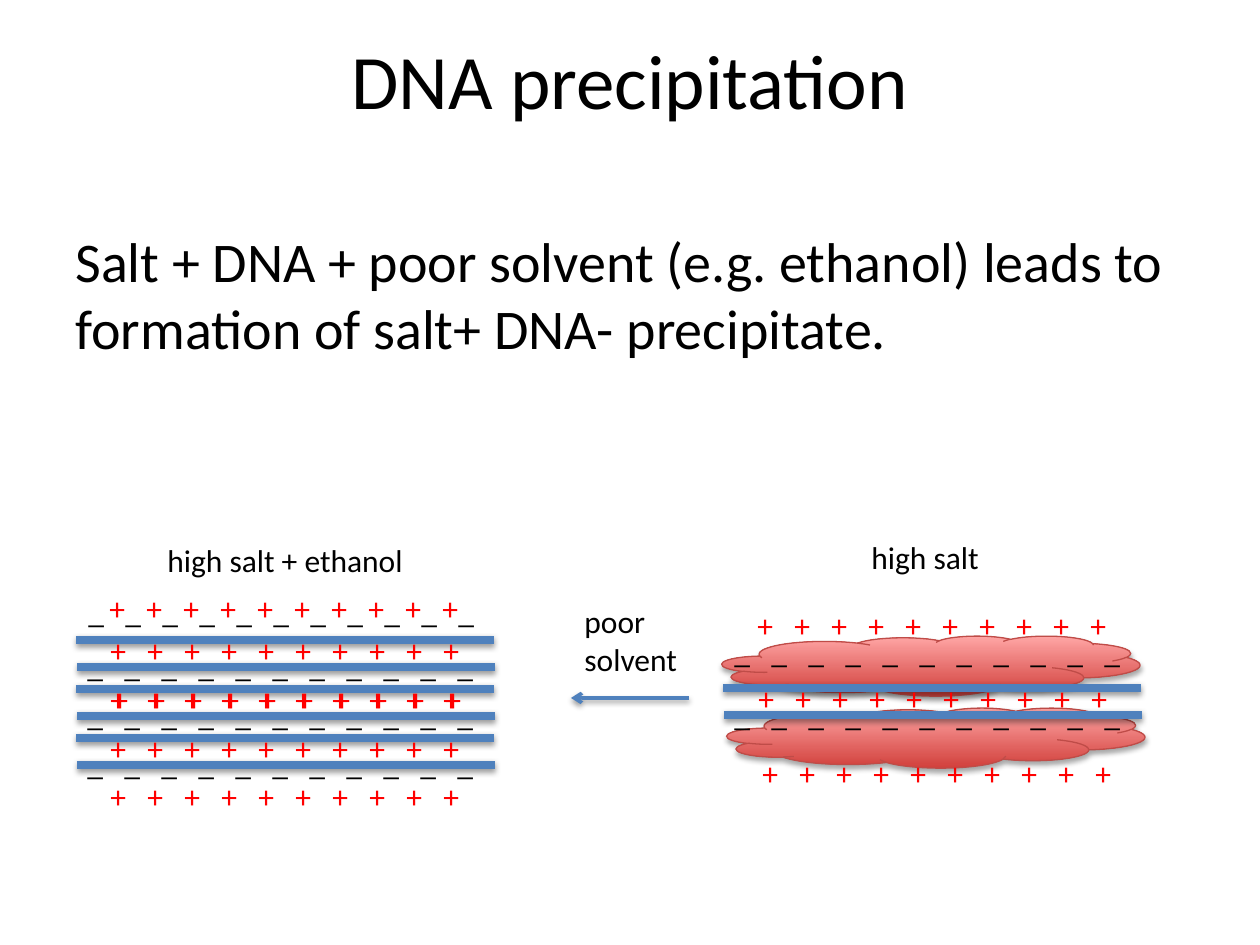
from typing import NamedTuple

from lxml.etree import SubElement
from pptx import Presentation
from pptx.dml.color import RGBColor
from pptx.enum.shapes import MSO_CONNECTOR, MSO_SHAPE
from pptx.enum.text import MSO_ANCHOR, PP_ALIGN
from pptx.oxml.ns import qn
from pptx.util import Emu, Pt

BLACK = RGBColor(0x00, 0x00, 0x00)
RED = RGBColor(0xFF, 0x00, 0x00)
BLUE = RGBColor(0x4F, 0x81, 0xBD)
CLOUD_DARK = RGBColor(0xD1, 0x40, 0x3C)
CLOUD_LIGHT = RGBColor(0xFF, 0xA6, 0xA5)
CLOUD_EDGE = RGBColor(0xBF, 0x4C, 0x48)

FONT = "Calibri"
PX_PER_INCH = 126
STRAND_LENGTH = 418
CLOUD_HEIGHT = 60
CHARGE_PITCH = 37
STRAND_GAP = 27
PAIR_PITCH = 49


class Point(NamedTuple):
    x: int
    y: int


class Charge(NamedTuple):
    symbol: str
    count: int
    width: int
    color: RGBColor


class Label(NamedTuple):
    lines: list[str]
    left: int
    top: int
    width: int
    height: int
    size: int = 18


PLUS = Charge("+", 10, 379, RED)
MINUS = Charge("_", 11, 423, BLACK)

LABELS = [
    Label(["Salt + DNA + poor solvent (e.g. ethanol) leads to formation of "
           "salt+ DNA- precipitate."], 63, 220, 1134, 624, 32),
    Label(["high salt"], 859, 532, 134, 50),
    Label(["high salt + ethanol"], 155, 535, 263, 50),
    Label(["poor", "solvent"], 572, 596, 120, 89),
]
CLOUDS = [Point(722, 636), Point(727, 708)]
STRAND_PAIRS = [Point(76, 640 + PAIR_PITCH * pair) for pair in range(3)] + [Point(723, 688)]
CHARGE_ROWS = {
    MINUS: [Point(76, 586), *(Point(75, 640 + PAIR_PITCH * row) for row in range(3)),
            Point(722, 689), Point(722, 626)],
    PLUS: [Point(97, 583), Point(98, 625), Point(98, 674), Point(100, 674),
           Point(98, 723), Point(98, 771),
           Point(745, 600), Point(746, 673), Point(750, 748)],
}


def px(length: int) -> Emu:
    return Emu(round(length * 914400 / PX_PER_INCH))


def write(para, text: str, *, size: int = 18, color: RGBColor = BLACK,
          align=PP_ALIGN.LEFT) -> None:
    para.alignment = align
    span = para.add_run()
    span.text = text
    span.font.name = FONT
    span.font.size = Pt(size)
    span.font.color.rgb = color


def add_box(page, left: int, top: int, width: int, height: int):
    box = page.shapes.add_textbox(px(left), px(top), px(width), px(height))
    box.text_frame.word_wrap = True
    return box.text_frame


def add_label(page, label: Label) -> None:
    frame = add_box(page, label.left, label.top, label.width, label.height)
    frame.word_wrap = label.size > 18
    for index, line in enumerate(label.lines):
        para = frame.add_paragraph() if index else frame.paragraphs[0]
        write(para, line, size=label.size)


def add_charge_row(page, charge: Charge, start: Point) -> None:
    """Spread the charge symbols over evenly pitched tab stops."""
    para = add_box(page, start.x, start.y, charge.width, 50).paragraphs[0]
    stops = SubElement(para._p.get_or_add_pPr(), qn("a:tabLst"))
    for index in range(1, charge.count):
        SubElement(stops, qn("a:tab"), pos=str(px(CHARGE_PITCH * index)), algn="l")
    write(para, "\t".join([charge.symbol] * charge.count), color=charge.color)


def add_shadow(shape, distance: int, opacity: int) -> None:
    """Drop a soft black shadow straight down; opacity is in percent."""
    effects = SubElement(shape._element.spPr, qn("a:effectLst"))
    shadow = SubElement(effects, qn("a:outerShdw"), blurRad="40000",
                        dist=str(distance), dir="5400000", rotWithShape="0")
    color = SubElement(shadow, qn("a:srgbClr"), val=str(BLACK))
    SubElement(color, qn("a:alpha"), val=str(opacity * 1000))


def add_line(page, start: Point, end: Point, width: int, *, arrow: bool = False) -> None:
    line = page.shapes.add_connector(
        MSO_CONNECTOR.STRAIGHT, px(start.x), px(start.y), px(end.x), px(end.y))
    line.line.color.rgb = BLUE
    line.line.width = Pt(width)
    if arrow:
        SubElement(line.line._get_or_add_ln(), qn("a:tailEnd"), type="arrow")
    add_shadow(line, 20000, 38)


def add_strand_pair(page, start: Point) -> None:
    for step in range(2):
        left, y = start.x + step, start.y + STRAND_GAP * step
        add_line(page, Point(left, y), Point(left + STRAND_LENGTH, y), 5)


def add_cloud(page, corner: Point) -> None:
    cloud = page.shapes.add_shape(MSO_SHAPE.CLOUD, px(corner.x), px(corner.y),
                                  px(STRAND_LENGTH), px(CLOUD_HEIGHT))
    cloud.fill.gradient()
    cloud.fill.gradient_angle = 90
    for stop, position, color in zip(cloud.fill.gradient_stops, (0, 1),
                                     (CLOUD_DARK, CLOUD_LIGHT)):
        stop.position = position
        stop.color.rgb = color
    cloud.line.color.rgb = CLOUD_EDGE
    cloud.line.width = Pt(0.75)
    add_shadow(cloud, 23000, 35)


def set_title(page, text: str) -> None:
    title = page.shapes.title
    title.left, title.top, title.width, title.height = px(63), px(0), px(1134), px(158)
    title.text_frame.vertical_anchor = MSO_ANCHOR.MIDDLE
    write(title.text_frame.paragraphs[0], text, size=44, align=PP_ALIGN.CENTER)


def main() -> None:
    deck = Presentation()
    deck.slide_width, deck.slide_height = px(1260), px(945)
    page = deck.slides.add_slide(deck.slide_layouts[5])
    set_title(page, "DNA precipitation")
    for label in LABELS:
        add_label(page, label)
    for corner in CLOUDS:
        add_cloud(page, corner)
    for start in STRAND_PAIRS:
        add_strand_pair(page, start)
    for charge, starts in CHARGE_ROWS.items():
        for start in starts:
            add_charge_row(page, charge, start)
    add_line(page, Point(689, 698), Point(571, 698), 2, arrow=True)
    deck.save("out.pptx")


if __name__ == "__main__":
    main()
